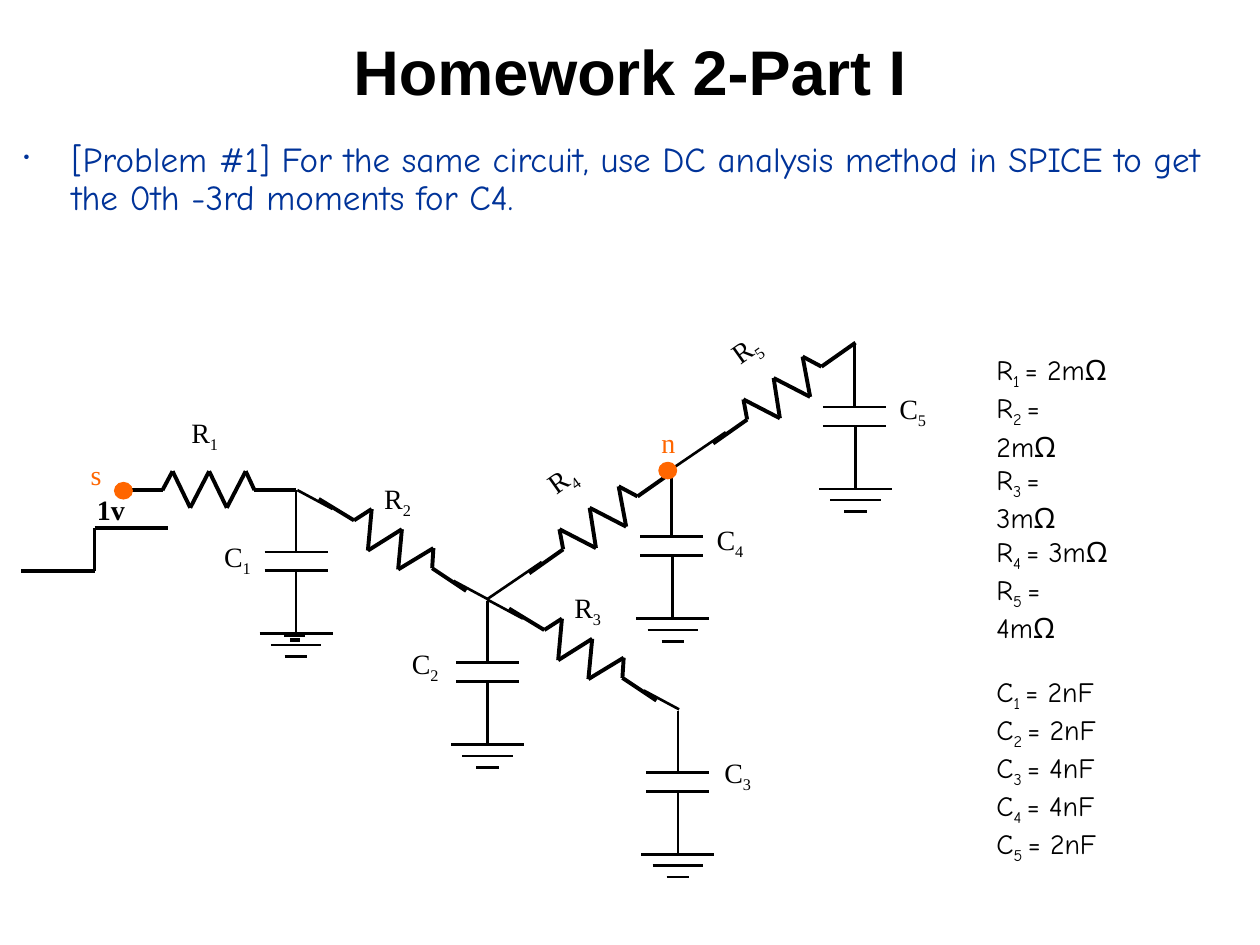
from lxml import etree
from pptx import Presentation, util as u
from pptx.dml.color import RGBColor
from pptx.enum import shapes, text
from pptx.oxml.ns import qn

PX = 9144  # EMU per px, 100 px to the inch
BLACK = RGBColor(0x00, 0x00, 0x00)
BLUE = RGBColor(0x00, 0x33, 0x99)
ORANGE = RGBColor(0xFF, 0x66, 0x00)
SERIF, COMIC = "Times New Roman", "Comic Neue"
THIN, THICK = 1.5, 2.25

deck = Presentation()
deck.slide_width, deck.slide_height = 1000 * PX, 750 * PX
slide = deck.slides.add_slide(deck.slide_layouts[6])


def wire(points, width):
    """Join consecutive points with straight lines."""
    for (x1, y1), (x2, y2) in zip(points, points[1:]):
        line = slide.shapes.add_connector(
            shapes.MSO_CONNECTOR.STRAIGHT, x1 * PX, y1 * PX, x2 * PX, y2 * PX)
        line.line.color.rgb = BLACK
        line.line.width = u.Pt(width)
        etree.SubElement(line._element.spPr, qn("a:effectLst"))


def write(box, lines, font=SERIF, size=16, colour=BLACK, bold=False, wrap=False, turn=0):
    """Add a text box; the second piece of each line is a subscript."""
    label = slide.shapes.add_textbox(*(n * PX for n in box))
    label.rotation = turn
    frame = label.text_frame
    frame.word_wrap = wrap
    if not wrap:
        frame.auto_size = text.MSO_AUTO_SIZE.SHAPE_TO_FIT_TEXT
    for number, pieces in enumerate(lines):
        paragraph = frame.add_paragraph() if number else frame.paragraphs[0]
        for place, piece in enumerate(pieces):
            run = paragraph.add_run()
            run.text = piece
            run.font.name, run.font.size = font, u.Pt(size)
            run.font.bold, run.font.color.rgb = bold, colour
            if place == 1:
                run._r.get_or_add_rPr().set("baseline", "-25000")
    return frame


# Problem statement
problem = write((9, 108, 956, 89), [[
    "[Problem #1] For the same circuit, use DC analysis method in SPICE to get "
    "the 0th -3rd moments for C4."]], COMIC, 20, BLUE, wrap=True).paragraphs[0]
problem.line_spacing = 0.9
problem.space_before = u.Pt(5)
bullet = problem._p.get_or_add_pPr()
bullet.set("marL", str(38 * PX))
bullet.set("indent", str(-38 * PX))
bullet_colour = etree.SubElement(bullet, qn("a:buClr"))
etree.SubElement(bullet_colour, qn("a:srgbClr"), val=str(BLUE))
etree.SubElement(bullet, qn("a:buSzPct"), val="50000")
etree.SubElement(bullet, qn("a:buChar"), char="•")

# Title
title = write((0, 17, 1000, 77), [["Homework 2-Part I"]], "Arial", 36, bold=True, wrap=True)
title.vertical_anchor = text.MSO_ANCHOR.MIDDLE
title.paragraphs[0].alignment = text.PP_ALIGN.CENTER

# Resistors: zigzag, thin leads, and offsets where they stand
level = [(97, 389), (129, 389), (137, 374), (151, 403), (166, 374),
         (180, 403), (195, 374), (202, 389), (235, 389)]
falling = [(253, 396), (281, 413), (295, 404), (292, 437), (319, 420),
           (316, 452), (344, 435), (343, 451), (370, 469)]
rising = [(420, 455), (447, 436), (444, 420), (473, 435), (468, 403),
          (497, 418), (491, 386), (506, 394), (533, 375)]
falling_leads = [[(236, 389), (264, 404)], [(360, 461), (388, 476)]]
rising_leads = [[(430, 446), (386, 476)]]
for zigzag, leads, offsets in (
        (level, [], [(0, 0)]),
        (falling, falling_leads, [(0, 0), (151, 87)]),
        (rising, rising_leads, [(0, 0), (146, -103)])):
    for dx, dy in offsets:
        wire([(x + dx, y + dy) for x, y in zigzag], THICK)
        for lead in leads:
            wire([(x + dx, y + dy) for x, y in lead], THIN)

# Capacitors to ground: top node and sideways drift of the lower half
for x, y, drift in ((235, 389, 0), (387, 477, 0), (538, 564, 0), (533, 377, 1), (678, 274, 1)):
    foot = x + drift
    wire([(x, y), (x, y + 48)], THIN)
    wire([(foot, y + 64), (foot, y + 113)], THIN)
    for centre, half, drop in ((x, 25, 49), (x, 25, 64), (foot, 29, 114),
                               (foot, 20, 123), (foot, 9, 132)):
        wire([(centre - half, y + drop), (centre + half, y + drop)], THIN)

# Extra ground strokes under C1
wire([(225, 504), (242, 504)], THICK)
wire([(230, 508), (238, 508)], THICK)

# Component labels
for letter, index, left, top, turn in (
        ("R", "1", 142, 325, 0), ("R", "2", 295, 377, 0), ("R", "3", 446, 464, 0),
        ("R", "4", 426, 361, 324.5), ("R", "5", 572, 258, 324.5),
        ("C", "1", 168, 423, 0), ("C", "2", 317, 508, 0), ("C", "3", 565, 595, 0),
        ("C", "4", 559, 410, 0.5), ("C", "5", 704, 306, 0.5)):
    write((left, top, 41, 41), [[letter, index]], turn=turn)

# Nodes s and n
for name, box, left, top in (("s", (62, 358, 28, 37), 91, 383), ("n", (515, 333, 31, 37), 523, 367)):
    write(box, [[name]], colour=ORANGE)
    node = slide.shapes.add_shape(
        shapes.MSO_SHAPE.OVAL, left * PX, top * PX, 14 * PX, 13 * PX)
    node.shadow.inherit = False
    node.fill.solid()
    node.fill.fore_color.rgb = node.line.color.rgb = ORANGE
    node.line.width = u.Pt(0.75)

# Step input
wire([(17, 453), (75, 453), (75, 419), (133, 419)], THICK)
write((67, 386, 92, 37), [["1v"]], bold=True, wrap=True)

# Component values
resistances = [["R", f"{i} ", f"= {value}mΩ"] for i, value in enumerate((2, 2, 3, 3, 4), 1)]
capacitances = [["C", f"{i} ", f"= {value}nF"] for i, value in enumerate((2, 2, 4, 4, 2), 1)]
values = write((781, 275, 108, 420), resistances + capacitances, COMIC, wrap=True)
values.paragraphs[len(resistances)].space_before = u.Pt(17)

deck.save("out.pptx")
